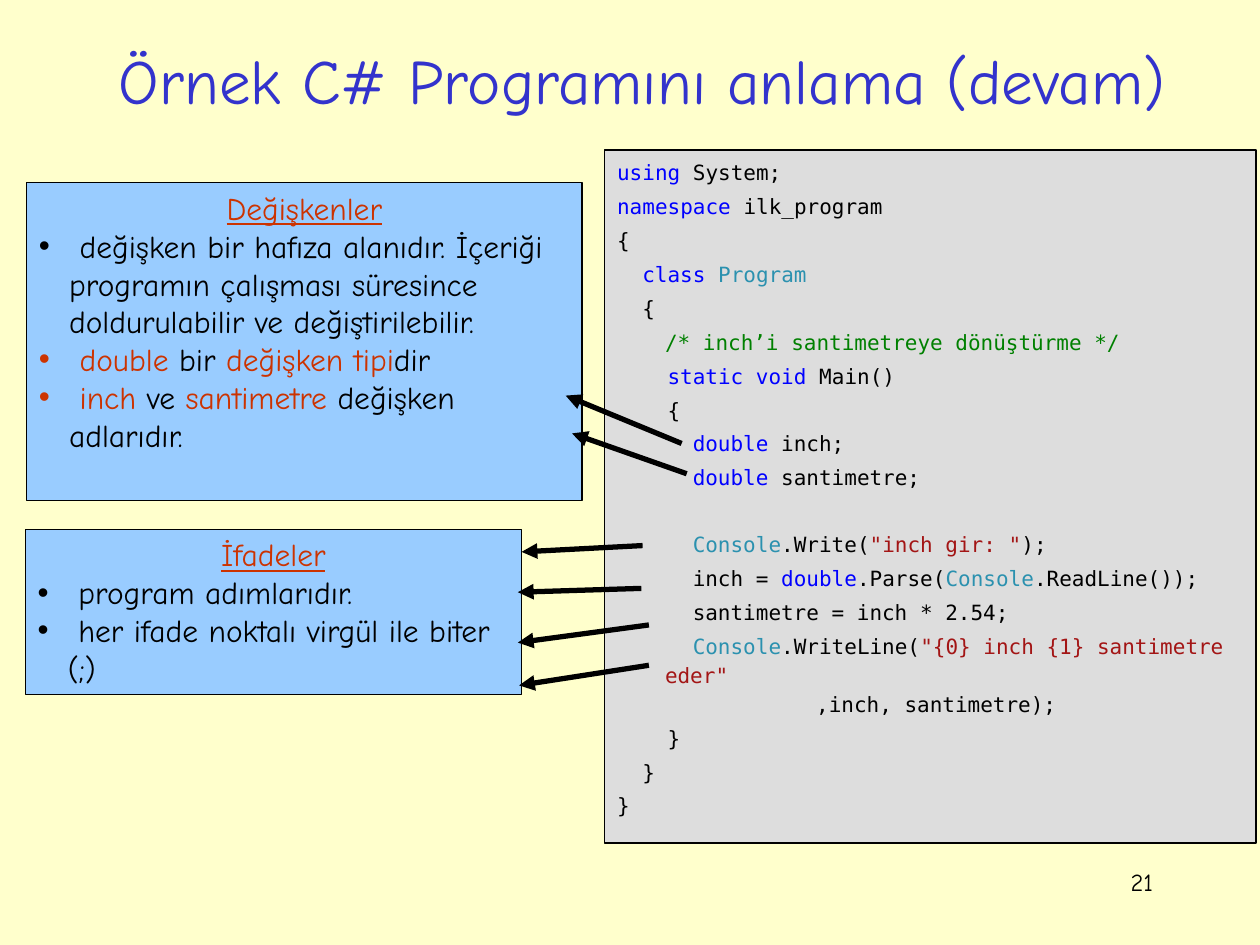
"""Builds the slide explaining variables and statements in a C# program."""
from lxml.etree import SubElement
from pptx import Presentation
from pptx.dml.color import RGBColor
from pptx.enum.shapes import MSO_CONNECTOR, MSO_SHAPE
from pptx.enum.text import MSO_ANCHOR, PP_ALIGN
from pptx.oxml.ns import qn
from pptx.util import Inches, Pt

COLORS = {
    "bg": "FFFFCC", "title": "3333CC", "black": "000000", "code": "DDDDDD",
    "note": "99CCFF", "red": "CC3300", "keyword": "0000FF", "type": "2B91AF",
    "comment": "008000", "string": "A31515",
}
NOTE_FONT, CODE_FONT = "Comic Neue", "DejaVu Sans Mono"


def add_box(x, y, w, h, fill=None):
    sp = s.shapes.add_shape(MSO_SHAPE.RECTANGLE, Inches(x), Inches(y), Inches(w), Inches(h))
    sp.shadow.inherit = False
    if fill:
        sp.fill.solid()
        sp.fill.fore_color.rgb = RGBColor.from_string(COLORS[fill])
        sp.line.color.rgb = RGBColor.from_string(COLORS["black"])
        sp.line.width = Pt(0.75)
    else:
        sp.fill.background()
        sp.line.fill.background()
    tf = sp.text_frame
    tf.word_wrap = True
    tf.vertical_anchor = MSO_ANCHOR.TOP
    return tf


def add_runs(p, runs, font, size, align=PP_ALIGN.LEFT):
    p.alignment = align
    for text, color in runs:
        r = p.add_run()
        r.text = text
        r.font.name = font
        r.font.size = Pt(size)
        r.font.color.rgb = RGBColor.from_string(COLORS[color])


prs = Presentation()
prs.slide_width, prs.slide_height = Inches(10), Inches(7.5)
s = prs.slides.add_slide(prs.slide_layouts[6])
s.background.fill.solid()
s.background.fill.fore_color.rgb = RGBColor.from_string(COLORS["bg"])

tf = add_box(7.17, 6.83, 2.08, 0.5)
add_runs(tf.paragraphs[0], [("21", "black")], NOTE_FONT, 14, PP_ALIGN.RIGHT)
tf = add_box(0.32, 0.26, 9.55, 0.74)
tf.vertical_anchor = MSO_ANCHOR.MIDDLE
add_runs(tf.paragraphs[0], [("Örnek C# Programını anlama (devam)", "title")],
         NOTE_FONT, 36, PP_ALIGN.CENTER)

HANG, CHAR, GAP, BLANK = 0.38, 0.1, 2.8, 21.7
code_lines = [
    (0, GAP, [("using", "keyword"), (" System;", "black")]),
    (0, GAP, [("namespace ", "keyword"), ("ilk_program", "black")]),
    (0, GAP, [("{", "black")]),
    (2, GAP, [("class ", "keyword"), ("Program", "type")]),
    (2, GAP, [("{", "black")]),
    (3.8, GAP, [("/* inch’i santimetreye dönüştürme */", "comment")]),
    (4, GAP, [("static void", "keyword"), (" Main()", "black")]),
    (4, GAP, [("{", "black")]),
    (6, GAP, [("double ", "keyword"), ("inch;", "black")]),
    (6, GAP, [("double ", "keyword"), ("santimetre;", "black")]),
    (6, BLANK, [("Console", "type"), (".Write(", "black"),
                ('"inch gir: "', "string"), (");", "black")]),
    (6, GAP, [("inch = ", "black"), ("double", "keyword"), (".Parse(", "black"),
              ("Console", "type"), (".ReadLine());", "black")]),
    (6, GAP, [("santimetre = inch * 2.54;", "black")]),
    (6, GAP, [("Console", "type"), (".WriteLine(", "black"),
              ('"{0} inch {1} santimetre eder"', "string")]),
    (15.8, 0, [(",inch, santimetre);", "black")]),
    (4, GAP, [("}", "black")]),
    (2, GAP, [("}", "black")]),
    (0, GAP, [("}", "black")]),
]
tf = add_box(4.8, 1.19, 5.17, 5.5, "code")
for i, (column, before, runs) in enumerate(code_lines):
    p = tf.add_paragraph() if i else tf.paragraphs[0]
    p.line_spacing = 1.15
    p.space_before = Pt(before)
    add_runs(p, runs, CODE_FONT, 12)
    pPr = p._p.get_or_add_pPr()
    pPr.set("marL", str(Inches(HANG)))
    pPr.set("indent", str(Inches(column * CHAR - HANG)))

notes = [
    ((0.2, 4.2, 3.94, 1.31), "İfadeler", [
        [(" program adımlarıdır.", "black")],
        [(" her ifade noktalı virgül ile biter (;)", "black")],
    ]),
    ((0.21, 1.45, 4.41, 2.52), "Değişkenler", [
        [(" değişken bir hafıza alanıdır. İçeriği programın çalışması süresince "
          "doldurulabilir ve değiştirilebilir.", "black")],
        [(" double ", "red"), ("bir ", "black"), ("değişken tipi", "red"), ("dir", "black")],
        [(" inch ", "red"), ("ve ", "black"), ("santimetre ", "red"),
         ("değişken adlarıdır.", "black")],
    ]),
]
for place, heading, bullets in notes:
    tf = add_box(*place, "note")
    p = tf.paragraphs[0]
    add_runs(p, [(heading, "red")], NOTE_FONT, 18, PP_ALIGN.CENTER)
    p.runs[0].font.underline = True
    for runs in bullets:
        p = tf.add_paragraph()
        add_runs(p, runs, NOTE_FONT, 18)
        pPr = p._p.get_or_add_pPr()
        pPr.set("marL", str(Inches(0.24)))
        pPr.set("indent", str(Inches(-0.24)))
        SubElement(pPr, qn("a:buFont"), typeface="Arial")
        SubElement(pPr, qn("a:buChar"), char="•")

arrows = [
    (5.1, 4.33, 4.14, 4.38), (5.09, 4.67, 4.11, 4.7), (5.15, 4.96, 4.11, 5.1),
    (5.15, 5.28, 4.12, 5.44), (5.41, 3.52, 4.49, 3.14), (5.45, 3.76, 4.54, 3.44),
]
for ends in arrows:
    arrow = s.shapes.add_connector(MSO_CONNECTOR.STRAIGHT, *[Inches(v) for v in ends])
    arrow.line.color.rgb = RGBColor.from_string(COLORS["black"])
    arrow.line.width = Pt(3)
    SubElement(arrow.line._get_or_add_ln(), qn("a:tailEnd"), type="triangle")
    SubElement(arrow._element.spPr, qn("a:effectLst"))

prs.save("out.pptx")
